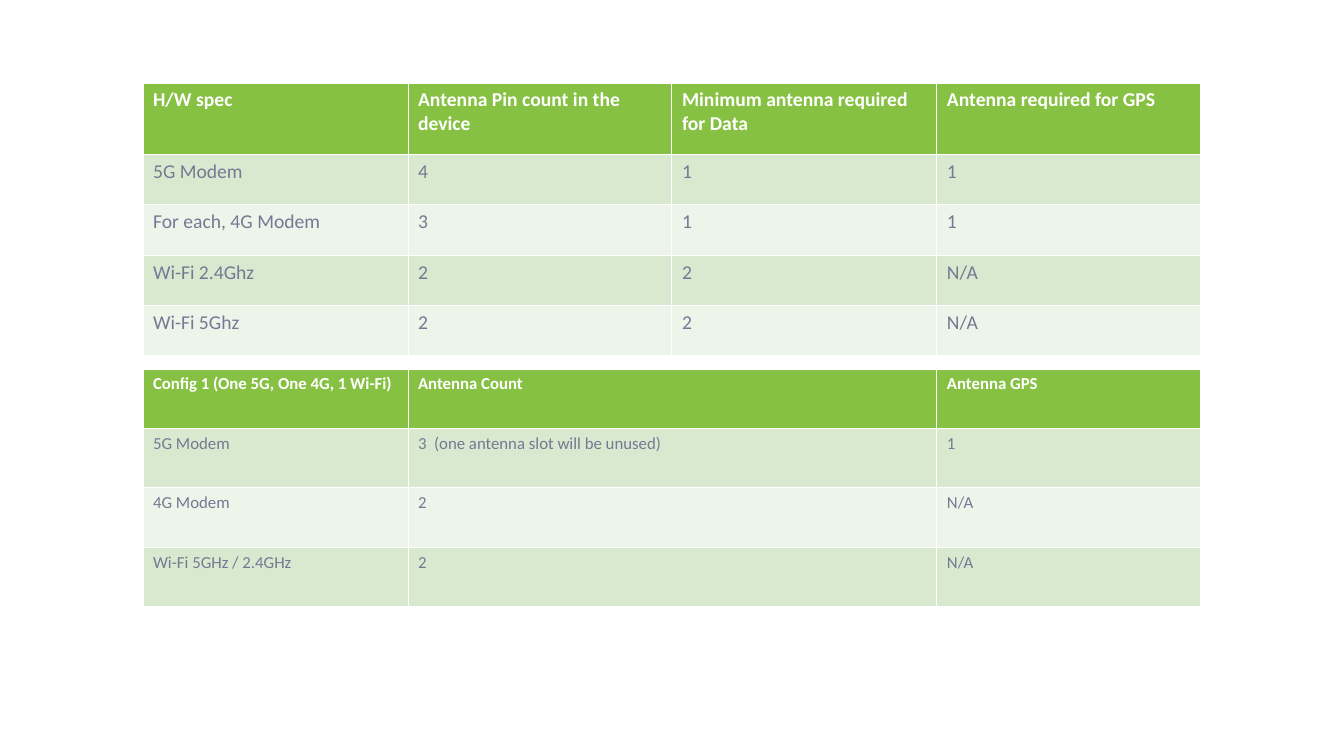
from dataclasses import dataclass

from lxml.etree import SubElement
from pptx import Presentation
from pptx.dml.color import RGBColor
from pptx.oxml.ns import qn
from pptx.slide import Slide
from pptx.table import _Cell
from pptx.util import Emu, Pt

EMU_PER_PX = 914400 / 100.8
GREEN, PALE_GREEN, PALEST_GREEN = "87C143", "D9E9CF", "EDF4E9"
WHITE, SLATE = "FFFFFF", "747994"
THIN, HEADER_RULE = 0.75, 0.88


@dataclass(frozen=True)
class AntennaTable:
    top: int
    columns: list[int]
    heights: list[int]
    text_size: int
    rows: list[list[str]]


TABLE_LEFT = 143
HARDWARE = AntennaTable(
    top=83,
    columns=[265, 264, 265, 264],
    heights=[72, 50, 51, 50, 50],
    text_size=14,
    rows=[
        ["H/W spec", "Antenna Pin count in the device",
         "Minimum antenna required for Data", "Antenna required for GPS"],
        ["5G Modem", "4", "1", "1"],
        ["For each, 4G Modem", "3", "1", "1"],
        ["Wi-Fi 2.4Ghz", "2", "2", "N/A"],
        ["Wi-Fi 5Ghz", "2", "2", "N/A"],
    ],
)
CONFIGURATION = AntennaTable(
    top=369,
    columns=[265, 529, 264],
    heights=[60, 59, 60, 59],
    text_size=12,
    rows=[
        ["Config 1 (One 5G, One 4G, 1 Wi-Fi)", "Antenna Count", "Antenna GPS"],
        ["5G Modem", "3  (one antenna slot will be unused)", "1"],
        ["4G Modem", "2", "N/A"],
        ["Wi-Fi 5GHz / 2.4GHz", "2", "N/A"],
    ],
)


def px(length: int) -> Emu:
    return Emu(round(length * EMU_PER_PX))


def rgb(value: str) -> RGBColor:
    return RGBColor.from_string(value)


def add_borders(cell: _Cell, row: int) -> None:
    """Draw white cell edges, heavier between the header and the body."""
    widths = {
        "a:lnL": THIN,
        "a:lnR": THIN,
        "a:lnT": HEADER_RULE if row == 1 else THIN,
        "a:lnB": HEADER_RULE if row == 0 else THIN,
    }
    properties = cell._tc.get_or_add_tcPr()
    for edge, width in widths.items():
        line = SubElement(properties, qn(edge), w=str(Pt(width)))
        SubElement(SubElement(line, qn("a:solidFill")), qn("a:srgbClr"), val=WHITE)


def fill_cell(cell: _Cell, text: str, row: int, text_size: int) -> None:
    is_header = row == 0
    add_borders(cell, row)
    cell.fill.solid()
    band = PALE_GREEN if row % 2 else PALEST_GREEN
    cell.fill.fore_color.rgb = rgb(GREEN if is_header else band)
    run = cell.text_frame.paragraphs[0].add_run()
    run.text = text
    text_format = {"name": "Calibri", "size": Pt(text_size), "bold": is_header}
    for attribute, value in text_format.items():
        setattr(run.font, attribute, value)
    run.font.color.rgb = rgb(WHITE if is_header else SLATE)


def add_antenna_table(slide: Slide, content: AntennaTable) -> None:
    grid = slide.shapes.add_table(
        len(content.heights), len(content.columns),
        px(TABLE_LEFT), px(content.top),
        px(sum(content.columns)), px(sum(content.heights)),
    ).table
    for column, width in zip(grid.columns, content.columns):
        column.width = px(width)
    for row, (height, texts) in enumerate(zip(content.heights, content.rows)):
        grid.rows[row].height = px(height)
        for column, text in enumerate(texts):
            fill_cell(grid.cell(row, column), text, row, content.text_size)


def main() -> None:
    presentation = Presentation()
    presentation.slide_width, presentation.slide_height = px(1344), px(756)
    slide = presentation.slides.add_slide(presentation.slide_layouts[6])
    for content in (HARDWARE, CONFIGURATION):
        add_antenna_table(slide, content)
    presentation.save("out.pptx")


if __name__ == "__main__":
    main()
